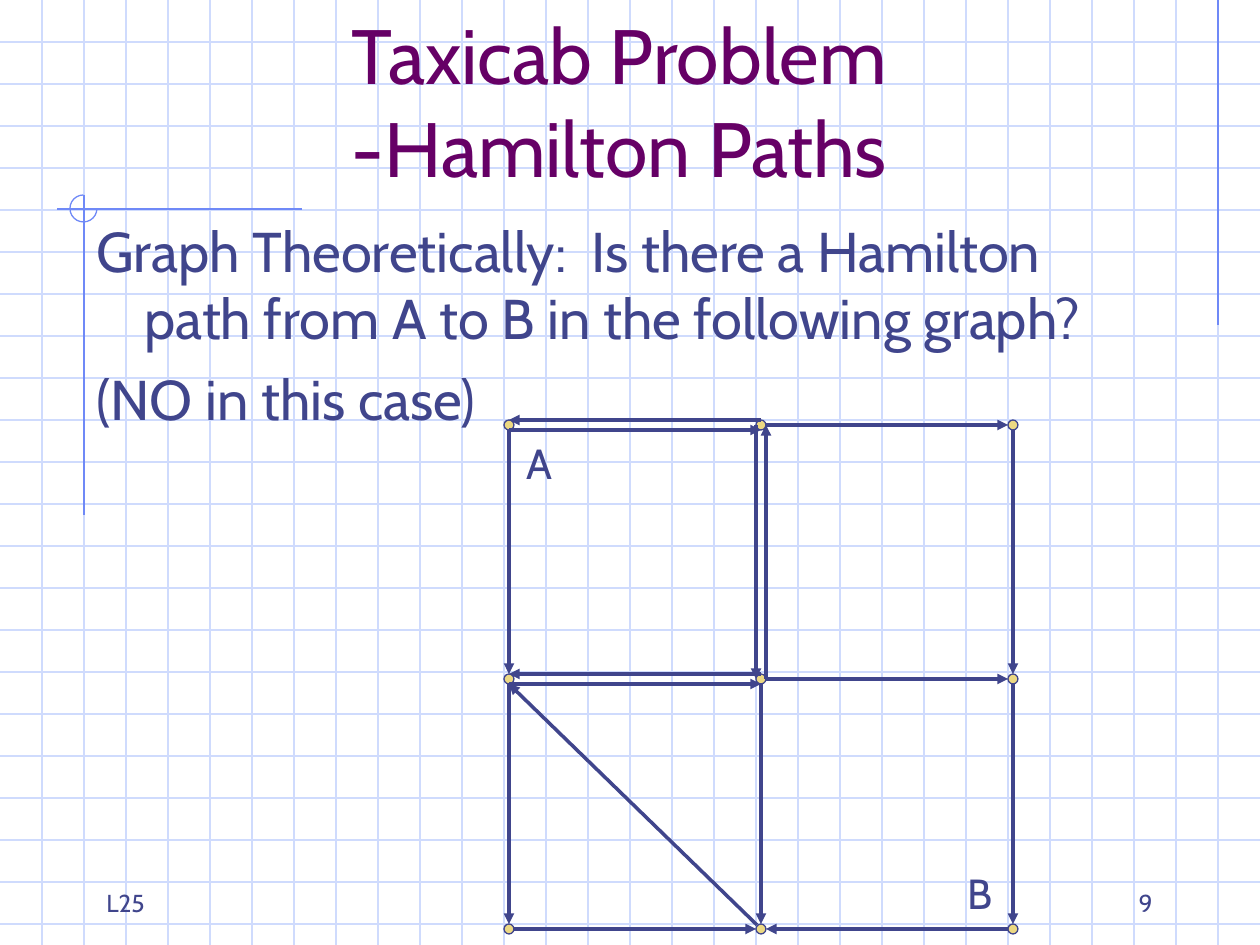
from dataclasses import dataclass
from typing import Optional

from lxml import etree
from pptx import Presentation
from pptx.dml.color import RGBColor
from pptx.enum.shapes import MSO_CONNECTOR, MSO_SHAPE
from pptx.enum.text import MSO_ANCHOR, MSO_AUTO_SIZE, PP_ALIGN
from pptx.oxml.ns import qn
from pptx.util import Emu, Pt

STRAIGHT = MSO_CONNECTOR.STRAIGHT
OVAL, ARC = MSO_SHAPE.OVAL, MSO_SHAPE.ARC
TOP, BOTTOM = MSO_ANCHOR.TOP, MSO_ANCHOR.BOTTOM
LEFT, CENTER, RIGHT = PP_ALIGN.LEFT, PP_ALIGN.CENTER, PP_ALIGN.RIGHT
NO_AUTOFIT = MSO_AUTO_SIZE.NONE

PIXELS_PER_INCH = 126
WIDTH, HEIGHT = 1260, 945
GRID_STEP = 42
FONT = "Cabin"

INK = RGBColor(0x40, 0x45, 0x8C)
TITLE_COLOR = RGBColor(0x66, 0x00, 0x66)
GRID_COLOR = RGBColor(0xCF, 0xDB, 0xFD)
ACCENT = RGBColor(0x6F, 0x89, 0xF7)
NODE_FILL = RGBColor(0xEC, 0xD8, 0x82)

NODE_SIZE = 10
NODE_COLUMNS = (504, 756, 1008)
NODE_ROWS = (420, 674, 924)
# Offset of each attachment point from the top left of a node
SIDES = {"top": (5, 0), "left": (0, 5), "bottom": (5, 10), "right": (10, 5), "corner": (1, 1)}


@dataclass(frozen=True)
class Line:
    start: tuple[int, int]
    end: tuple[int, int]
    color: RGBColor
    width: float = 0.75
    arrow: bool = False


@dataclass(frozen=True)
class Edge:
    """A directed street; nodes are (column, row)."""
    source: tuple[int, int]
    source_side: str
    target: tuple[int, int]
    target_side: str


@dataclass(frozen=True)
class Label:
    text: str
    box: tuple[int, int, int, int]
    size: int
    align: PP_ALIGN = LEFT
    anchor: MSO_ANCHOR = TOP
    wrap: bool = True


ORNAMENT_LINES = (
    Line((1218, 0), (1218, 325), ACCENT),
    Line((302, 209), (57, 209), ACCENT),
    Line((84, 195), (84, 515), ACCENT),
)
EDGES = (
    Edge((1, 0), "top", (0, 0), "top"),
    Edge((0, 0), "bottom", (1, 0), "bottom"),
    Edge((1, 0), "right", (2, 0), "left"),
    Edge((0, 0), "bottom", (0, 1), "top"),
    Edge((1, 0), "left", (1, 1), "left"),
    Edge((1, 1), "right", (1, 0), "right"),
    Edge((2, 0), "bottom", (2, 1), "top"),
    Edge((1, 1), "top", (0, 1), "top"),
    Edge((0, 1), "bottom", (1, 1), "bottom"),
    Edge((1, 1), "right", (2, 1), "left"),
    Edge((0, 1), "bottom", (0, 2), "top"),
    Edge((1, 1), "bottom", (1, 2), "top"),
    Edge((2, 1), "bottom", (2, 2), "top"),
    Edge((1, 2), "corner", (0, 1), "bottom"),
    Edge((0, 2), "right", (1, 2), "left"),
    Edge((2, 2), "left", (1, 2), "right"),
)
LABELS = (
    Label("L25", (94, 861, 262, 63), 14, anchor=BOTTOM),
    Label("9", (903, 861, 262, 63), 14, align=RIGHT, anchor=BOTTOM),
    Label("A", (514, 431, 52, 63), 24, wrap=False),
    Label("B", (955, 861, 52, 63), 24, wrap=False),
)


def px(value: int) -> Emu:
    return Emu(round(value * 914400 / PIXELS_PER_INCH))


def draw_line(slide, line: Line) -> None:
    connector = slide.shapes.add_connector(STRAIGHT, *map(px, line.start + line.end))
    connector.line.color.rgb = line.color
    connector.line.width = Pt(line.width)
    properties = connector.element.spPr
    if line.arrow:
        etree.SubElement(properties.find(qn("a:ln")), qn("a:tailEnd"), type="triangle")
    etree.SubElement(properties, qn("a:effectLst"))


def draw_background(slide) -> None:
    for y in range(GRID_STEP, HEIGHT, GRID_STEP):
        draw_line(slide, Line((0, y), (WIDTH, y), GRID_COLOR))
    for x in range(GRID_STEP, WIDTH, GRID_STEP):
        draw_line(slide, Line((x, 0), (x, HEIGHT), GRID_COLOR))
    for line in ORNAMENT_LINES:
        draw_line(slide, line)
    arc = slide.shapes.add_shape(ARC, *map(px, (70, 195, 27, 27)))
    arc.adjustments[0] = 0
    arc.adjustments[1] = 162  # 270 degrees
    arc.shadow.inherit = False
    arc.fill.background()
    arc.line.color.rgb = ACCENT
    arc.line.width = Pt(0.75)


def draw_node(slide, column: int, row: int) -> None:
    box = (NODE_COLUMNS[column], NODE_ROWS[row], NODE_SIZE, NODE_SIZE)
    node = slide.shapes.add_shape(OVAL, *map(px, box))
    node.shadow.inherit = False
    node.fill.solid()
    node.fill.fore_color.rgb = NODE_FILL
    node.line.color.rgb = INK
    node.line.width = Pt(0.75)


def attachment(node: tuple[int, int], side: str) -> tuple[int, int]:
    column, row = node
    x, y = SIDES[side]
    return NODE_COLUMNS[column] + x, NODE_ROWS[row] + y


def draw_edge(slide, edge: Edge) -> None:
    start = attachment(edge.source, edge.source_side)
    end = attachment(edge.target, edge.target_side)
    draw_line(slide, Line(start, end, INK, 2, arrow=True))


def set_font(paragraph, size: int, color: RGBColor) -> None:
    paragraph.font.name = FONT
    paragraph.font.size = Pt(size)
    paragraph.font.color.rgb = color


def draw_label(slide, label: Label) -> None:
    frame = slide.shapes.add_textbox(*map(px, label.box)).text_frame
    frame.word_wrap = label.wrap
    frame.vertical_anchor = label.anchor
    paragraph = frame.paragraphs[0]
    paragraph.text = label.text
    paragraph.alignment = label.align
    set_font(paragraph, label.size, INK)


def place_text(shape, box: tuple[int, int, int, int], text: str, anchor: MSO_ANCHOR,
               size: int, color: RGBColor, align: Optional[PP_ALIGN] = None) -> None:
    """Fill a placeholder and bring it in front of the background."""
    shape.element.getparent().append(shape.element)
    shape.left, shape.top, shape.width, shape.height = map(px, box)
    frame = shape.text_frame
    frame.text = text
    frame.auto_size = NO_AUTOFIT
    frame.vertical_anchor = anchor
    for paragraph in frame.paragraphs:
        paragraph.alignment = align
        set_font(paragraph, size, color)


def set_hanging_indents(frame, indent: int) -> None:
    for index, paragraph in enumerate(frame.paragraphs):
        paragraph.space_before = Pt(8 if index else 0)
        properties = paragraph._p.get_or_add_pPr()
        properties.set("marL", str(px(indent)))
        properties.set("indent", str(-px(indent)))
        bullet = etree.Element(qn("a:buNone"))
        properties.find(qn("a:spcBef")).addnext(bullet)


def main() -> None:
    presentation = Presentation()
    presentation.slide_width, presentation.slide_height = px(WIDTH), px(HEIGHT)
    slide = presentation.slides.add_slide(presentation.slide_layouts[1])
    title, body = slide.placeholders
    draw_background(slide)
    place_text(title, (84, 42, 1071, 157), "Taxicab Problem\v-Hamilton Paths",
               BOTTOM, 44, TITLE_COLOR, CENTER)
    place_text(body, (84, 210, 1071, 567),
               "Graph Theoretically:  Is there a Hamilton path from A to B in the following graph?\n"
               "(NO in this case)", TOP, 32, INK, LEFT)
    set_hanging_indents(body.text_frame, 48)
    for row in range(len(NODE_ROWS)):
        for column in range(len(NODE_COLUMNS)):
            draw_node(slide, column, row)
    for edge in EDGES:
        draw_edge(slide, edge)
    for label in LABELS:
        draw_label(slide, label)
    presentation.save("out.pptx")


if __name__ == "__main__":
    main()
